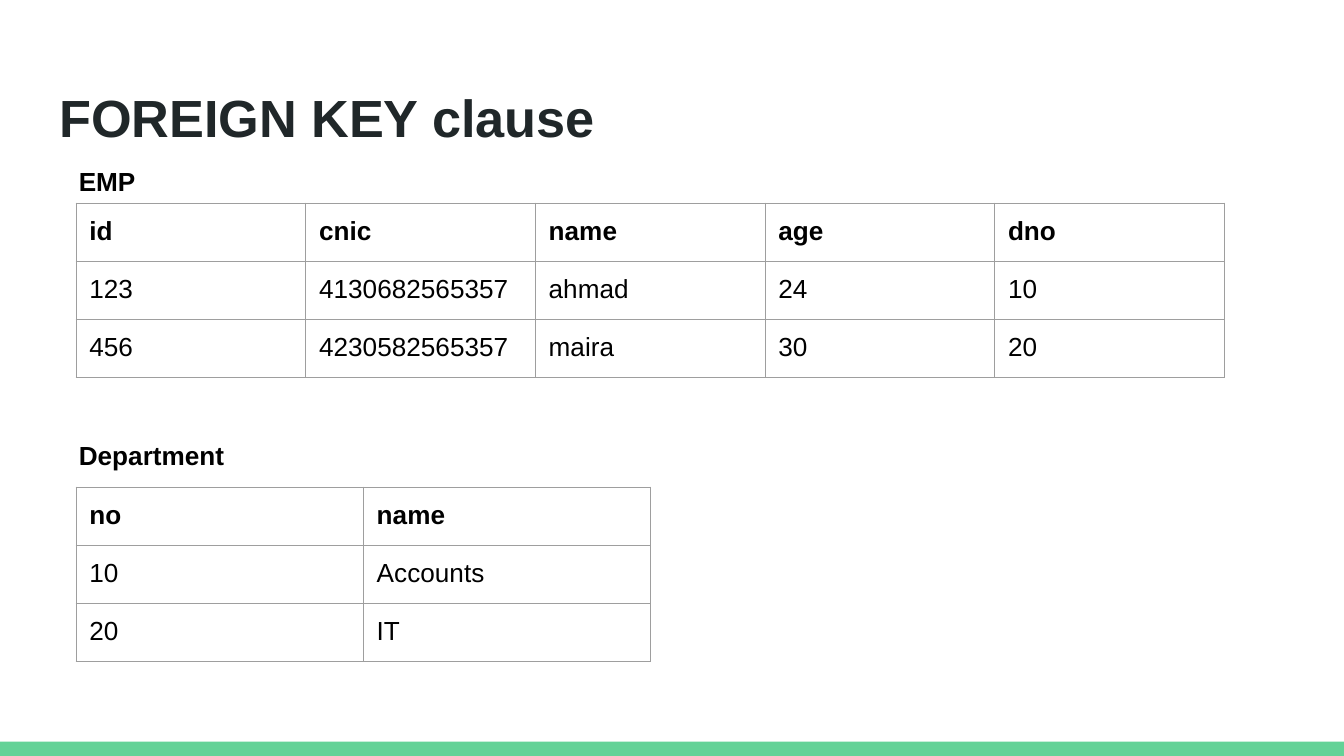
from dataclasses import dataclass

from lxml.etree import SubElement
from pptx import Presentation
from pptx.dml.color import RGBColor
from pptx.enum.shapes import MSO_SHAPE
from pptx.enum.text import MSO_ANCHOR
from pptx.oxml.ns import qn
from pptx.slide import Slide
from pptx.table import _Cell
from pptx.text.text import TextFrame
from pptx.util import Cm, Pt

SLIDE_WIDTH, SLIDE_HEIGHT = 25.4, 14.29
BAR_HEIGHT = 0.27
ROW_HEIGHT = 1.1
INSET = 0.25
TABLE_LEFT = 1.44
BLACK, DARK, GREY, GREEN = "000000", "202729", "9E9E9E", "63D297"


@dataclass
class Label:
    text: str
    left: float
    top: float
    width: float
    height: float
    size: int = 14
    color: str = BLACK


@dataclass
class Relation:
    top: float
    column_width: float
    rows: list[list[str]]


LABELS = [
    Label("FOREIGN KEY clause", 0.87, 1.24, 23.67, 1.6, 28, DARK),
    Label("EMP", 1.24, 2.82, 4.11, 1.12),
    Label("Department", 1.24, 8.0, 4.11, 1.12),
]

RELATIONS = [
    Relation(3.84, 4.34, [
        ["id", "cnic", "name", "age", "dno"],
        ["123", "4130682565357", "ahmad", "24", "10"],
        ["456", "4230582565357", "maira", "30", "20"],
    ]),
    Relation(9.21, 5.43, [
        ["no", "name"],
        ["10", "Accounts"],
        ["20", "IT"],
    ]),
]


def rgb(color: str) -> RGBColor:
    return RGBColor.from_string(color)


def write(frame: TextFrame, text: str, size: int, color: str, bold: bool) -> None:
    span = frame.paragraphs[0].add_run()
    span.text = text
    span.font.name = "Arial"
    span.font.size = Pt(size)
    span.font.bold = bold
    span.font.color.rgb = rgb(color)


def set_insets(holder: TextFrame | _Cell) -> None:
    holder.margin_left = holder.margin_right = Cm(INSET)
    holder.margin_top = holder.margin_bottom = Cm(INSET)


def draw_label(page: Slide, label: Label) -> None:
    box = page.shapes.add_textbox(
        Cm(label.left), Cm(label.top), Cm(label.width), Cm(label.height))
    frame = box.text_frame
    frame.word_wrap = True
    frame.vertical_anchor = MSO_ANCHOR.TOP
    set_insets(frame)
    write(frame, label.text, label.size, label.color, bold=True)
    frame.paragraphs[0].line_spacing = 1.1


def add_borders(cell: _Cell) -> None:
    properties = cell._tc.get_or_add_tcPr()
    for side in ("a:lnL", "a:lnR", "a:lnT", "a:lnB"):
        line = SubElement(properties, qn(side), w=str(Pt(0.75)))
        fill = SubElement(line, qn("a:solidFill"))
        SubElement(fill, qn("a:srgbClr"), val=GREY)


def draw_relation(page: Slide, relation: Relation) -> None:
    row_count, column_count = len(relation.rows), len(relation.rows[0])
    table = page.shapes.add_table(
        row_count, column_count, Cm(TABLE_LEFT), Cm(relation.top),
        Cm(relation.column_width * column_count), Cm(ROW_HEIGHT * row_count)).table
    table.horz_banding = False
    for column in table.columns:
        column.width = Cm(relation.column_width)
    for row_index, values in enumerate(relation.rows):
        table.rows[row_index].height = Cm(ROW_HEIGHT)
        for column_index, value in enumerate(values):
            cell = table.cell(row_index, column_index)
            set_insets(cell)
            add_borders(cell)
            cell.fill.background()
            write(cell.text_frame, value, 14, BLACK, bold=row_index == 0)


def draw_bar(page: Slide) -> None:
    bar = page.shapes.add_shape(
        MSO_SHAPE.RECTANGLE, 0, Cm(SLIDE_HEIGHT - BAR_HEIGHT),
        Cm(SLIDE_WIDTH), Cm(BAR_HEIGHT))
    bar.shadow.inherit = False
    bar.fill.solid()
    bar.fill.fore_color.rgb = rgb(GREEN)
    bar.line.fill.background()


def main() -> None:
    deck = Presentation()
    deck.slide_width, deck.slide_height = Cm(SLIDE_WIDTH), Cm(SLIDE_HEIGHT)
    page = deck.slides.add_slide(deck.slide_layouts[6])

    # Footer bar
    draw_bar(page)

    # Title and table names
    for label in LABELS:
        draw_label(page, label)

    # Employee and department tables
    for relation in RELATIONS:
        draw_relation(page, relation)

    deck.save("out.pptx")


if __name__ == "__main__":
    main()
